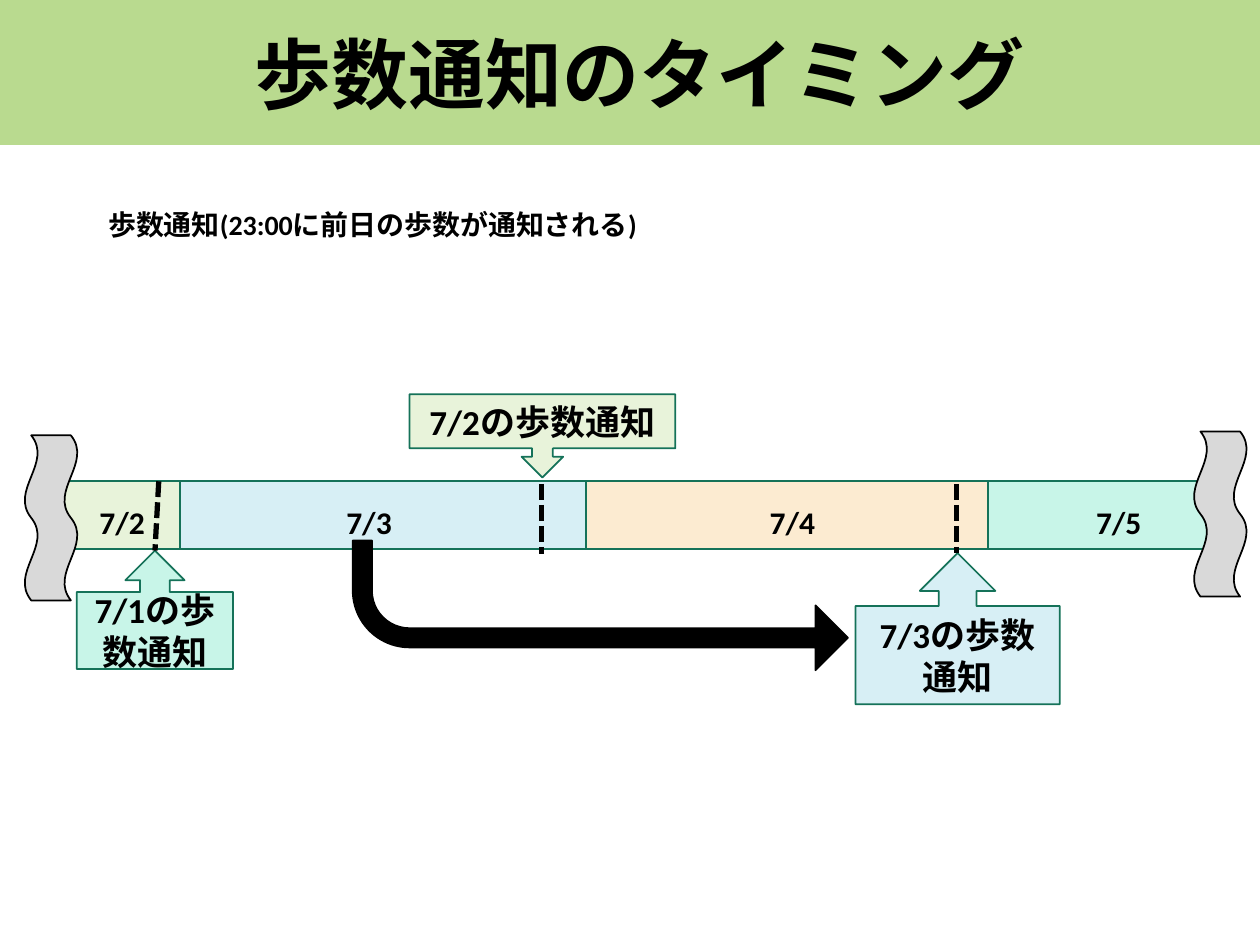
from pptx import Presentation
from pptx.dml.color import RGBColor
from pptx.enum.dml import MSO_LINE
from pptx.enum.shapes import MSO_CONNECTOR, MSO_SHAPE
from pptx.enum.text import MSO_ANCHOR, PP_ALIGN
from pptx.oxml.ns import qn
from pptx.util import Inches, Pt
from lxml import etree

RECT, WAVE, BENT = MSO_SHAPE.RECTANGLE, MSO_SHAPE.DOUBLE_WAVE, MSO_SHAPE.BENT_ARROW
UP, DOWN = MSO_SHAPE.UP_ARROW_CALLOUT, MSO_SHAPE.DOWN_ARROW_CALLOUT
LEFT, CENTER = PP_ALIGN.LEFT, PP_ALIGN.CENTER
TOP, MIDDLE = MSO_ANCHOR.TOP, MSO_ANCHOR.MIDDLE
STRAIGHT, DASH = MSO_CONNECTOR.STRAIGHT, MSO_LINE.SQUARE_DOT

W, H = 10, 7.5
BAR_TOP, BAR_H = 3.82, 0.54
FONT = "Calibri"
COLORS = {
    "title": "B9DA8F", "green": "E8F3DA", "blue": "D7EFF5", "orange": "FCEBD1",
    "mint": "C8F5E8", "gray": "D9D9D9", "edge": "157259", "black": "000000",
}


def rgb(name):
    return RGBColor.from_string(COLORS[name])


def write(sp, text, size=18, align=LEFT, anchor=TOP):
    """Fill a shape with bold black text, one paragraph a line."""
    tf = sp.text_frame
    tf.word_wrap = True
    tf.vertical_anchor = anchor
    for i, line in enumerate(text.split("\n")):
        p = tf.paragraphs[0] if i == 0 else tf.add_paragraph()
        p.alignment = align
        r = p.add_run()
        r.text = line
        r.font.name, r.font.size, r.font.bold = FONT, Pt(size), True
        r.font.color.rgb = rgb("black")


def add_label(s, box, text, **fmt):
    write(s.shapes.add_textbox(*map(Inches, box)), text, **fmt)


def add_block(s, kind, box, fill, edge="edge", adj=()):
    sp = s.shapes.add_shape(kind, *map(Inches, box))
    sp.shadow.inherit = False
    sp.fill.solid()
    sp.fill.fore_color.rgb = rgb(fill)
    if edge:
        sp.line.color.rgb = rgb(edge)
        sp.line.width = Pt(1)
    else:
        sp.line.fill.background()
    for i, value in enumerate(adj):
        sp.adjustments[i] = value
    return sp


def add_callout(s, kind, box, fill, text):
    write(add_block(s, kind, box, fill), text, size=20, align=CENTER, anchor=MIDDLE)


def add_wave(s, top, left):
    """Upright wavy break that cuts off one end of the timeline."""
    sp = add_block(s, WAVE, (left, top, 1.31, 0.42), "gray", "black", (0.125, 0))
    sp.rotation = 90


def add_mark(s, x1, y1, x2, y2):
    """Dashed line at the hour of a notice."""
    c = s.shapes.add_connector(STRAIGHT, *map(Inches, (x1, y1, x2, y2)))
    c.line.color.rgb = rgb("black")
    c.line.width = Pt(3)
    c.line.dash_style = DASH
    etree.SubElement(c._element.spPr, qn("a:effectLst"))


def main():
    prs = Presentation()
    prs.slide_width, prs.slide_height = Inches(W), Inches(H)
    s = prs.slides.add_slide(prs.slide_layouts[6])

    # Title band and subtitle
    band = add_block(s, RECT, (0, 0, W, 1.15), "title", edge=None)
    band.text_frame.margin_left = Inches(0.26)
    write(band, "歩数通知のタイミング", size=44, align=CENTER, anchor=MIDDLE)
    add_label(s, (0.76, 1.6, 4.79, 0.37), "歩数通知(23:00に前日の歩数が通知される)", size=16)

    # Timeline: one block a day, with its date
    days = [
        ("7/4", 4.65, 3.22, "orange", 6.01),
        ("7/3", 1.43, 3.22, "blue", 2.65),
        ("7/2", 0.35, 1.08, "green", 0.69),
        ("7/5", 7.84, 1.78, "mint", 8.6),
    ]
    for _, x, width, fill, _ in days:
        add_block(s, RECT, (x, BAR_TOP, width, BAR_H), fill)
    add_wave(s, 3.9, -0.25)
    for date, _, _, _, x in days:
        add_label(s, (x, 3.94, 0.68, 0.33), date)
    add_wave(s, 3.87, 9.03)

    # Notices
    add_callout(s, UP, (6.79, 4.39, 1.62, 1.2), "blue", "7/3の歩数\n通知")
    add_callout(s, UP, (0.61, 4.37, 1.24, 0.94), "mint", "7/1の歩数通知")
    add_callout(s, DOWN, (3.25, 3.13, 2.11, 0.66), "green", "7/2の歩数通知")

    # Arrow from a day to its notice
    arrow = add_block(s, BENT, (2.8, 4.29, 3.93, 1.03), "black", "black",
                      (0.148, 0.25, 0.25, 0.438))
    arrow._element.spPr.find(qn("a:xfrm")).set("flipV", "1")

    # Notice times
    for ends in [(1.26, BAR_TOP, 1.23, 4.37), (4.3, 3.84, 4.3, 4.4), (7.59, 3.84, 7.59, 4.39)]:
        add_mark(s, *ends)

    prs.save("out.pptx")


if __name__ == "__main__":
    main()
